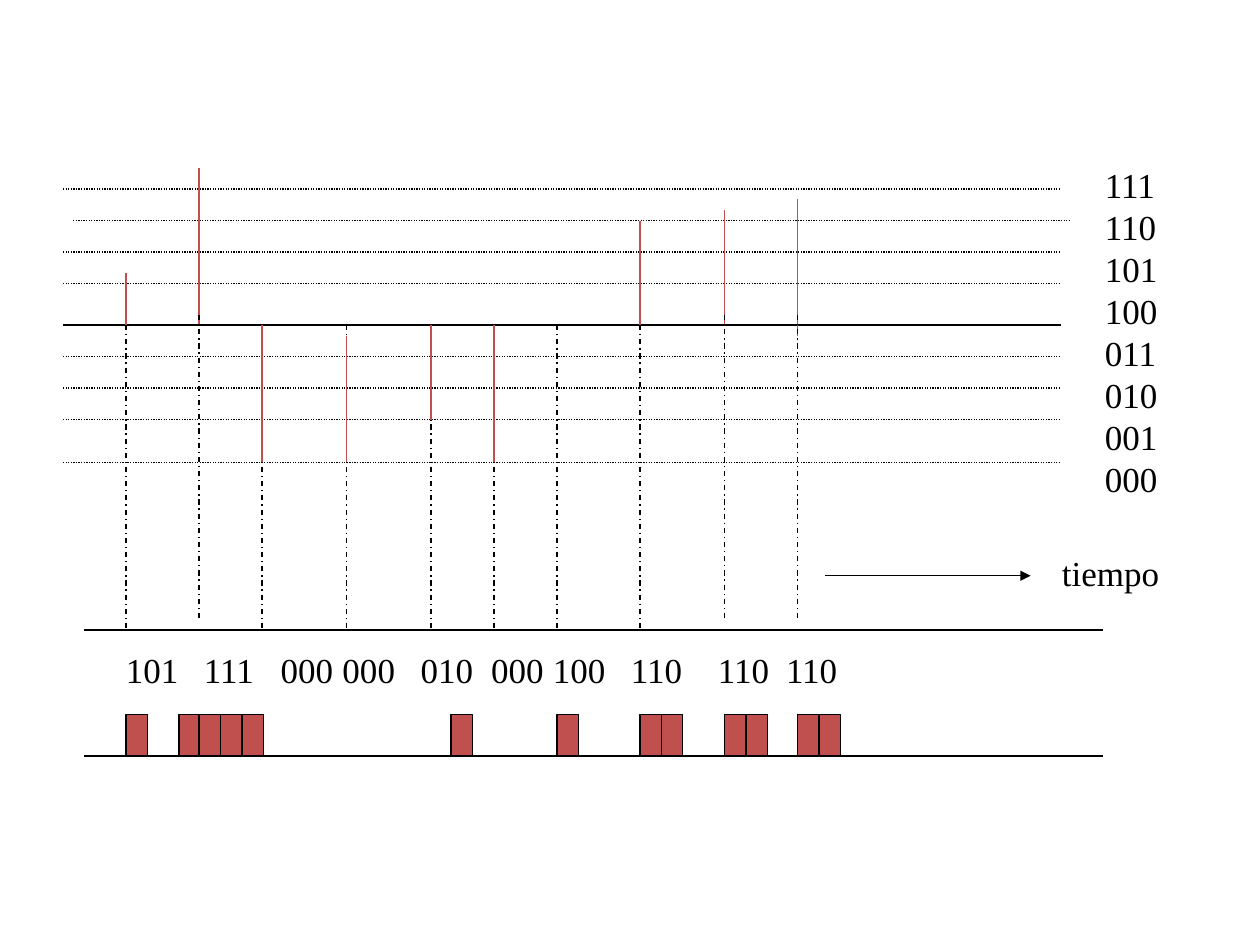
import dataclasses
import lxml.etree
import pptx
import pptx.dml.color
import pptx.enum.dml
import pptx.enum.shapes
import pptx.enum.text
import pptx.oxml.ns
import pptx.util

Inches = pptx.util.Inches
Dash = pptx.enum.dml.MSO_LINE


@dataclasses.dataclass
class Theme:
    ink: pptx.dml.color.RGBColor = pptx.dml.color.RGBColor(0, 0, 0)
    red: pptx.dml.color.RGBColor = pptx.dml.color.RGBColor(0xC0, 0x50, 0x4D)
    font: str = "Times New Roman"
    size: pptx.util.Pt = pptx.util.Pt(20)
    thin: pptx.util.Pt = pptx.util.Pt(0.75)


theme = Theme()
deck = pptx.Presentation()
deck.slide_width = Inches(10)
deck.slide_height = Inches(7.5)
slide = deck.slides.add_slide(deck.slide_layouts[6])
board = slide.shapes.add_group_shape().shapes


def draw(left, top, right, base, color=theme.ink, dash=None):
    line = board.add_connector(
        pptx.enum.shapes.MSO_CONNECTOR.STRAIGHT,
        Inches(left), Inches(top), Inches(right), Inches(base))
    line.line.color.rgb = color
    line.line.width = theme.thin
    if dash:
        line.line.dash_style = dash
    lxml.etree.SubElement(line._element.spPr, pptx.oxml.ns.qn("a:effectLst"))
    return line


def label(text, left, top, width, tabs=()):
    box = board.add_textbox(Inches(left), Inches(top), Inches(width), Inches(0.43))
    frame = box.text_frame
    frame.word_wrap = bool(tabs)
    frame.auto_size = pptx.enum.text.MSO_AUTO_SIZE.SHAPE_TO_FIT_TEXT
    para = frame.paragraphs[0]
    para.text = text
    if tabs:
        stops = lxml.etree.SubElement(
            para._p.get_or_add_pPr(), pptx.oxml.ns.qn("a:tabLst"))
        for tab in tabs:
            lxml.etree.SubElement(
                stops, pptx.oxml.ns.qn("a:tab"), pos=str(Inches(tab)), algn="l")
    para.font.name = theme.font
    para.font.size = theme.size
    para.font.color.rgb = theme.ink


zero = 2.58
floor = 5
reach = 2.42

lows = [(2.08, zero, 3.67), (2.75, 2.67, 3.67), (3.42, zero, 3.33), (3.92, zero, 3.67)]
for x, top, base in lows:
    draw(x, zero, x, floor, dash=Dash.DASH_DOT)

draw(0.5, zero, 8.42, zero)
for y in (1.5, 1.75, 2, 2.25, 2.83, 3.08, 3.33, 3.67):
    left = 0.58 if y == 1.75 else 0.5
    draw(left, y, left + 7.92, y, dash=Dash.ROUND_DOT)

highs = [(1, 2.17, zero), (1.58, 1.33, zero), (5.08, 1.75, zero),
         (5.75, 1.67, zero), (6.33, 1.58, 2.67)]
for x, top, base in lows + highs:
    draw(x, top, x, base, color=theme.red)

for level in range(8):
    label(f"{7 - level:03b}", 8.67, 1.25 + level / 3, 0.62)

draw(0.67, floor, 8.75, floor)
for x, top in ((1, zero), (1.58, 2.5), (4.42, zero), (5.08, zero), (5.75, 2.5), (6.33, 2.5)):
    draw(x, top, x, top + reach, dash=Dash.DASH_DOT)

codes = ["101", "111", "000", "000", "010", "000", "100", "110", "110", "110"]
label("\t".join(codes), 0.9, 5.1, 5.97,
      tabs=(0.62, 1.23, 1.72, 2.34, 2.9, 3.39, 4.01, 4.7, 5.24))

arrow = draw(6.55, 4.57, 8.18, 4.57)
lxml.etree.SubElement(
    arrow.line._get_or_add_ln(), pptx.oxml.ns.qn("a:tailEnd"), type="triangle")
label("tiempo", 8.33, 4.33, 0.97)

draw(0.67, 6, 8.75, 6)
for x in (1, 1.42, 1.92, 1.75, 1.58, 3.58, 4.42, 5.25, 5.08, 5.92, 5.75, 6.5, 6.33):
    bit = board.add_shape(
        pptx.enum.shapes.MSO_SHAPE.RECTANGLE,
        Inches(x), Inches(5.67), Inches(0.17), Inches(0.33))
    bit.shadow.inherit = False
    bit.fill.solid()
    bit.fill.fore_color.rgb = theme.red
    bit.line.color.rgb = theme.ink
    bit.line.width = theme.thin

deck.save("out.pptx")
